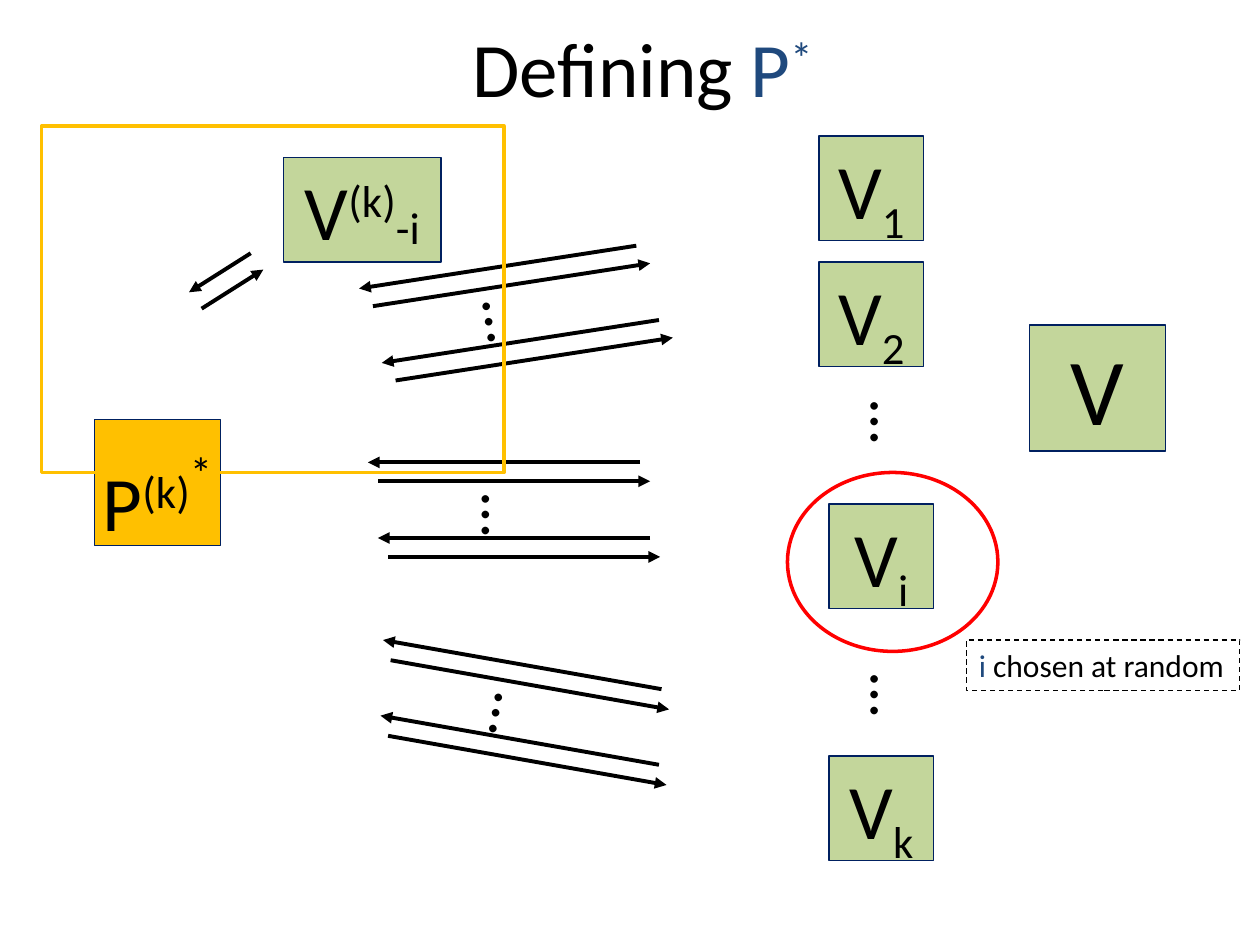
from lxml import etree
from pptx import Presentation
from pptx.dml.color import RGBColor
from pptx.enum.dml import MSO_LINE
from pptx.enum.shapes import MSO_CONNECTOR, MSO_SHAPE
from pptx.enum.text import MSO_ANCHOR, MSO_AUTO_SIZE, PP_ALIGN
from pptx.oxml.ns import qn
from pptx.util import Inches, Pt

RECT, OVAL = MSO_SHAPE.RECTANGLE, MSO_SHAPE.OVAL
STRAIGHT, DASH = MSO_CONNECTOR.STRAIGHT, MSO_LINE.DASH
TOP, MIDDLE = MSO_ANCHOR.TOP, MSO_ANCHOR.MIDDLE
LEFT, CENTER = PP_ALIGN.LEFT, PP_ALIGN.CENTER
GROW = MSO_AUTO_SIZE.SHAPE_TO_FIT_TEXT
FONT = "Calibri"
COLORS = {"black": "000000", "navy": "002060", "blue": "1F497D",
          "green": "C3D69B", "gold": "FFC000", "red": "FF0000"}


def rgb(name):
    return RGBColor.from_string(COLORS[name])


def add_run(para, text, size, color="black", baseline=0, outline=None):
    """Add one run; baseline is its raise or drop in percent."""
    span = para.add_run()
    span.text = text
    span.font.name = FONT
    span.font.size = Pt(size)
    span.font.color.rgb = rgb(color)
    properties = span.font._element
    if baseline:
        properties.set("baseline", str(baseline * 1000))
    if outline:
        line = etree.Element(qn("a:ln"), w=str(Pt(0.75)))
        fill = etree.SubElement(line, qn("a:solidFill"))
        etree.SubElement(fill, qn("a:srgbClr"), val=COLORS[outline])
        properties.insert(0, line)


def add_outline(slide, kind, at, line, width, fill=None):
    """Add a preset shape, hollow unless a fill is given."""
    shape = slide.shapes.add_shape(kind, *map(Inches, at))
    shape.shadow.inherit = False
    if fill:
        shape.fill.solid()
        shape.fill.fore_color.rgb = rgb(fill)
    else:
        shape.fill.background()
    shape.line.color.rgb = rgb(line)
    shape.line.width = Pt(width)
    return shape


def add_party(slide, at, parts, size=44, fill="green", outline="navy"):
    """Add a prover or verifier box; parts are (text, baseline) pairs."""
    box = add_outline(slide, RECT, at, "navy", 0.75, fill)
    frame = box.text_frame
    frame.word_wrap = False
    frame.vertical_anchor = TOP
    para = frame.paragraphs[0]
    para.alignment = CENTER
    before = etree.SubElement(para._p.get_or_add_pPr(), qn("a:spcBef"))
    etree.SubElement(before, qn("a:spcPct"), val="50000")
    for text, baseline in parts:
        add_run(para, text, size, baseline=baseline, outline=outline)
    return box


def add_dots(shapes, at, rotation):
    box = shapes.add_textbox(*map(Inches, at))
    box.rotation = rotation
    box.text_frame.word_wrap = True
    box.text_frame.auto_size = GROW
    add_run(box.text_frame.paragraphs[0], "…", 36)


def add_arrow(shapes, start, end):
    arrow = shapes.add_connector(STRAIGHT, *map(Inches, start + end))
    arrow.line.color.rgb = rgb("black")
    arrow.line.width = Pt(2.25)
    etree.SubElement(arrow.line._get_or_add_ln(), qn("a:tailEnd"), type="triangle")
    etree.SubElement(arrow._element.spPr, qn("a:effectLst"))


def shift(point, offset):
    return point[0] + offset[0], point[1] + offset[1]


def add_exchange(shapes, right, left, offset):
    """Add an arrow to the left and, shifted by offset, its answer to the right."""
    add_arrow(shapes, right, left)
    add_arrow(shapes, shift(left, offset), shift(right, offset))


def add_rounds(slide, right, left, offset, step, dots, rotation):
    """Group the first and last exchange, a step apart, with dots between."""
    shapes = slide.shapes.add_group_shape().shapes
    add_exchange(shapes, right, left, offset)
    add_dots(shapes, dots, rotation)
    add_exchange(shapes, shift(right, step), shift(left, step), offset)


def add_title(slide):
    title = slide.shapes.title
    title.left, title.top, title.width, title.height = map(Inches, (0.7, 0.11, 8.8, 0.84))
    title.text_frame.vertical_anchor = MIDDLE
    para = title.text_frame.paragraphs[0]
    para.alignment = CENTER
    add_run(para, "Defining ", 44)
    add_run(para, "P", 44, "blue")
    add_run(para, "*", 44, "blue", 30)


def add_note(slide):
    note = add_outline(slide, RECT, (7.67, 5.08, 2.17, 0.4), "black", 0.75)
    note.line.dash_style = DASH
    frame = note.text_frame
    frame.word_wrap = True
    frame.auto_size = GROW
    frame.vertical_anchor = TOP
    para = frame.paragraphs[0]
    para.alignment = LEFT
    add_run(para, "i", 18, "blue")
    add_run(para, " chosen at random", 18)


def main():
    deck = Presentation()
    deck.slide_width, deck.slide_height = Inches(10), Inches(7.5)
    slide = deck.slides.add_slide(deck.slide_layouts[5])
    add_title(slide)

    # Parallel prover
    prover = add_party(slide, (0.75, 3.33, 1, 1),
                       [("P", 0), ("(k)", 30), ("*", 55)], fill="gold", outline=None)
    prover.text_frame.margin_top = Inches(0.2)
    prover.text_frame.margin_bottom = 0

    # Column of verifiers
    for index, left, top in (("1", 6.5, 1.08), ("2", 6.5, 2.08),
                             ("i", 6.58, 4), ("k", 6.58, 6)):
        add_party(slide, (left, top, 0.83, 0.83), [("V", 0), (index, -25)])
    for top in (3.06, 5.23):
        add_dots(slide.shapes, (6.77, top, 0.67, 0.71), 90)

    # Rounds of messages
    add_rounds(slide, (5.08, 3.67), (2.92, 3.67), (0.08, 0.15), (0.08, 0.6),
               (3.72, 3.76, 0.6, 0.71), 90)
    add_rounds(slide, (5.25, 5.47), (3.04, 5.08), (0.06, 0.16), (-0.02, 0.6),
               (3.79, 5.35, 0.6, 0.73), 99.9)
    add_rounds(slide, (5.05, 1.95), (2.85, 2.29), (0.11, 0.14), (0.18, 0.59),
               (3.74, 2.2, 0.6, 0.73), 81)

    # Chosen verifier
    add_outline(slide, OVAL, (6.25, 3.75, 1.67, 1.42), "red", 2)
    add_note(slide)

    # New prover with the other verifiers inside, facing a single verifier
    add_party(slide, (2.25, 1.25, 1.25, 0.83), [("V", 0), ("(k)", 30), ("-i", -5)])
    add_outline(slide, RECT, (0.33, 1, 3.67, 2.75), "gold", 2)
    add_party(slide, (8.17, 2.58, 1.08, 1), [("V", 0)], size=54)
    add_exchange(slide.shapes.add_group_shape().shapes,
                 (1.99, 2.01), (1.5, 2.32), (0.1, 0.13))

    deck.save("out.pptx")


if __name__ == "__main__":
    main()
